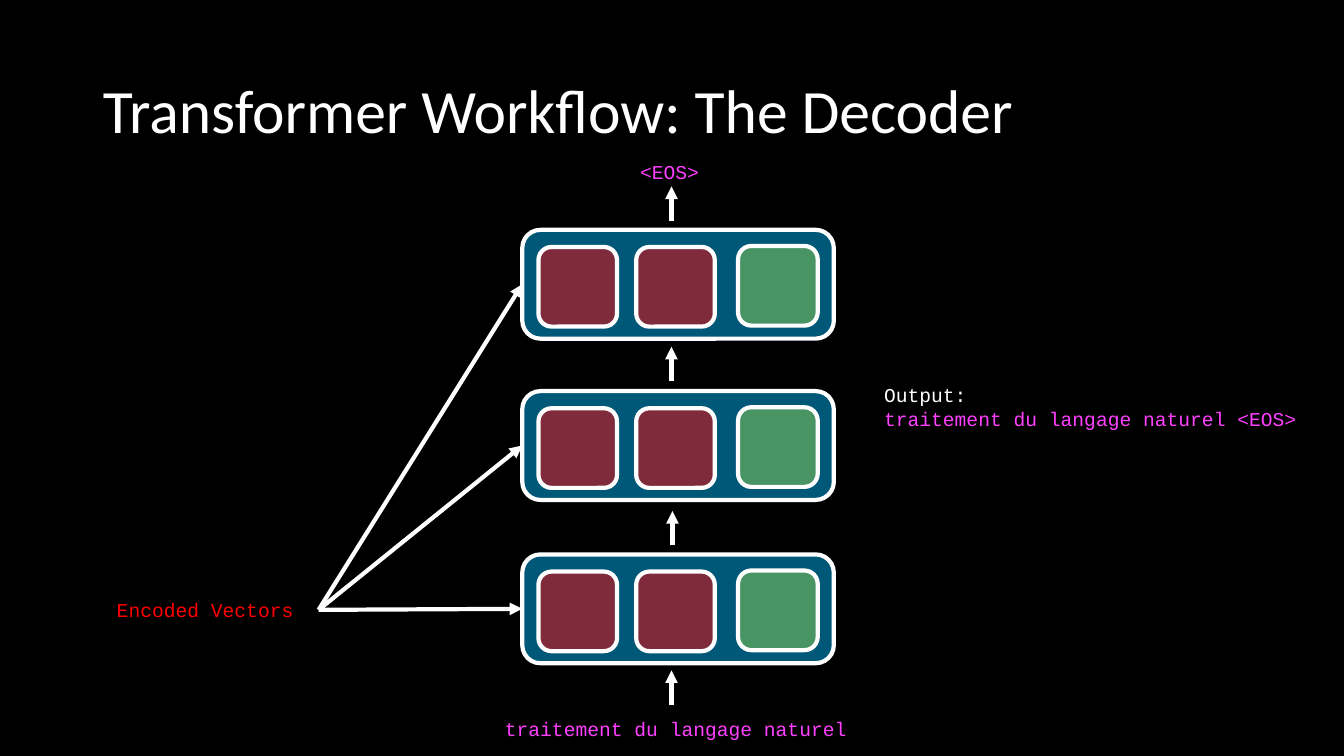
from pptx import Presentation
from pptx.dml.color import RGBColor
from pptx.enum import shapes, text
from pptx.oxml.ns import qn
from pptx.util import Inches, Pt
from lxml import etree

BLACK = RGBColor(0x00, 0x00, 0x00)
WHITE = RGBColor(0xFF, 0xFF, 0xFF)
RED = RGBColor(0xFF, 0x00, 0x00)
BLUE = RGBColor(0x00, 0xB0, 0xF0)
GREEN = RGBColor(0x92, 0xD0, 0x50)
MAGENTA = RGBColor(0xFF, 0x40, 0xFF)


def add_block(group, left, top, width, height, color):
    """Add a half-transparent rounded block with a white outline."""
    block = group.shapes.add_shape(
        shapes.MSO_SHAPE.ROUNDED_RECTANGLE,
        Inches(left), Inches(top), Inches(width), Inches(height))
    block.shadow.inherit = False
    block.fill.solid()
    block.fill.fore_color.rgb = color
    fill_color = block.element.spPr.find(qn("a:solidFill")).find(qn("a:srgbClr"))
    etree.SubElement(fill_color, qn("a:alpha"), val="50000")
    block.line.color.rgb = WHITE
    block.line.width = Pt(3)
    return block


def add_arrow(start_x, start_y, end_x, end_y):
    arrow = slide.shapes.add_connector(
        shapes.MSO_CONNECTOR.STRAIGHT,
        Inches(start_x), Inches(start_y), Inches(end_x), Inches(end_y))
    arrow.line.color.rgb = WHITE
    arrow.line.width = Pt(3)
    properties = arrow.element.spPr
    etree.SubElement(properties.find(qn("a:ln")), qn("a:tailEnd"), type="triangle")
    etree.SubElement(properties, qn("a:effectLst"))
    return arrow


presentation = Presentation()
presentation.slide_width = Inches(13.33)
presentation.slide_height = Inches(7.5)
slide = presentation.slides.add_slide(presentation.slide_layouts[5])
slide.background.fill.solid()
slide.background.fill.fore_color.rgb = BLACK

title = slide.shapes.title
title.left, title.top = Inches(0.92), Inches(0.4)
title.width, title.height = Inches(11.5), Inches(1.45)
title.text_frame.text = "Transformer Workflow: The Decoder"
title.text_frame.vertical_anchor = text.MSO_ANCHOR.MIDDLE
paragraph = title.text_frame.paragraphs[0]
paragraph.alignment = text.PP_ALIGN.LEFT
paragraph.line_spacing = 0.9
paragraph.font.name = "Calibri"
paragraph.font.size = Pt(44)
paragraph.font.color.rgb = WHITE

# Decoder layers, each fed by the encoded vectors
for layer_top in (2.28, 3.88, 5.5):
    group = slide.shapes.add_group_shape()
    layer = add_block(group, 5.18, layer_top, 3.09, 1.08, BLUE)
    add_block(group, 5.34, layer_top + 0.17, 0.78, 0.79, RED)
    add_block(group, 7.32, layer_top + 0.16, 0.79, 0.79, GREEN)
    add_block(group, 6.31, layer_top + 0.17, 0.78, 0.79, RED)
    vector_arrow = add_arrow(3.16, 6.05, 5.18, layer_top + 0.54)
    vector_arrow.end_connect(layer, 1)

# Upward flow between the layers
for x, bottom in ((6.66, 2.19), (6.66, 3.78), (6.67, 5.41), (6.66, 6.99)):
    add_arrow(x, bottom, x, bottom - 0.34)

labels = [
    (1.06, 5.88, 2.1, 0.34, [("Encoded Vectors", RED)]),
    (4.91, 7.06, 3.64, 0.34, [("traitement du langage naturel", MAGENTA)]),
    (6.25, 1.54, 0.9, 0.34, [("<EOS>", MAGENTA)]),
    (8.67, 3.75, 4.39, 0.57, [("Output:", WHITE),
                              ("traitement du langage naturel <EOS>", MAGENTA)]),
]
for left, top, width, height, lines in labels:
    label = slide.shapes.add_textbox(
        Inches(left), Inches(top), Inches(width), Inches(height))
    frame = label.text_frame
    frame.word_wrap = True
    frame.auto_size = text.MSO_AUTO_SIZE.SHAPE_TO_FIT_TEXT
    frame.text = "\n".join(line for line, color in lines)
    for paragraph, (line, color) in zip(frame.paragraphs, lines):
        paragraph.font.name = "Courier New"
        paragraph.font.size = Pt(14)
        paragraph.font.color.rgb = color

presentation.save("out.pptx")
